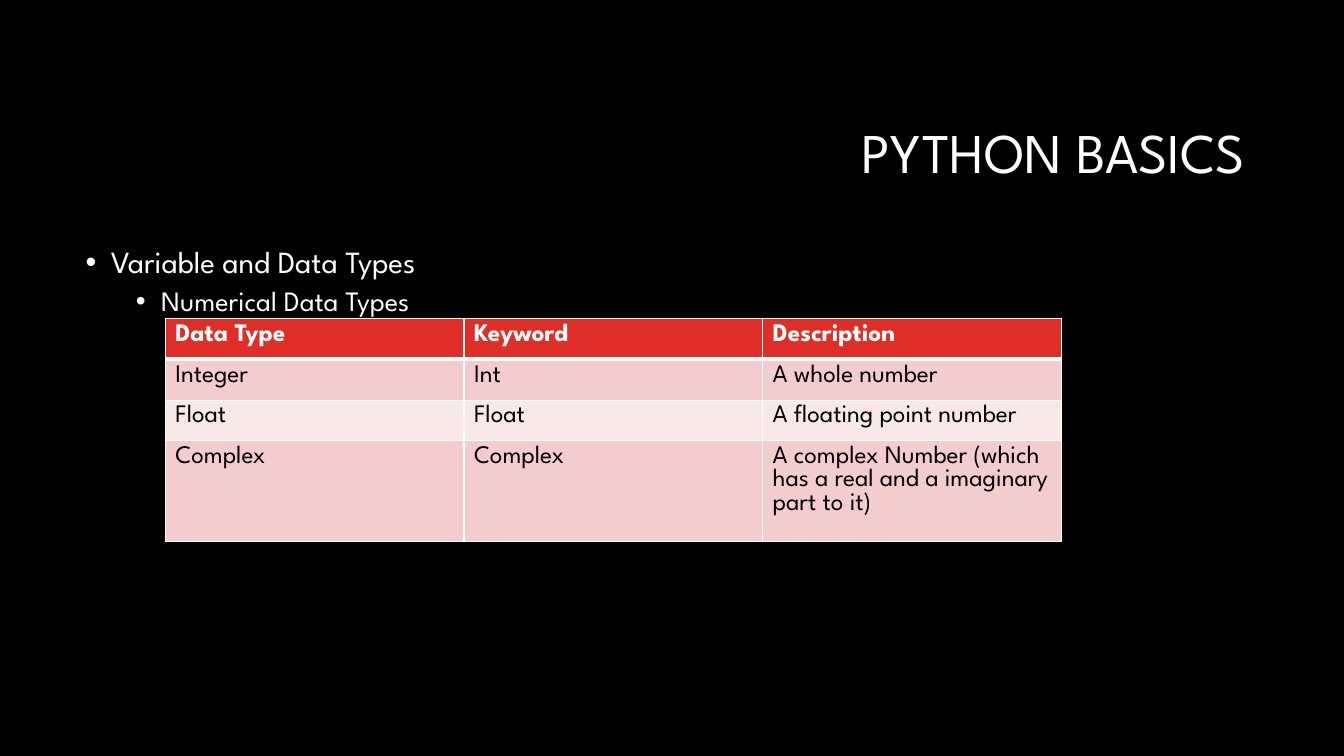
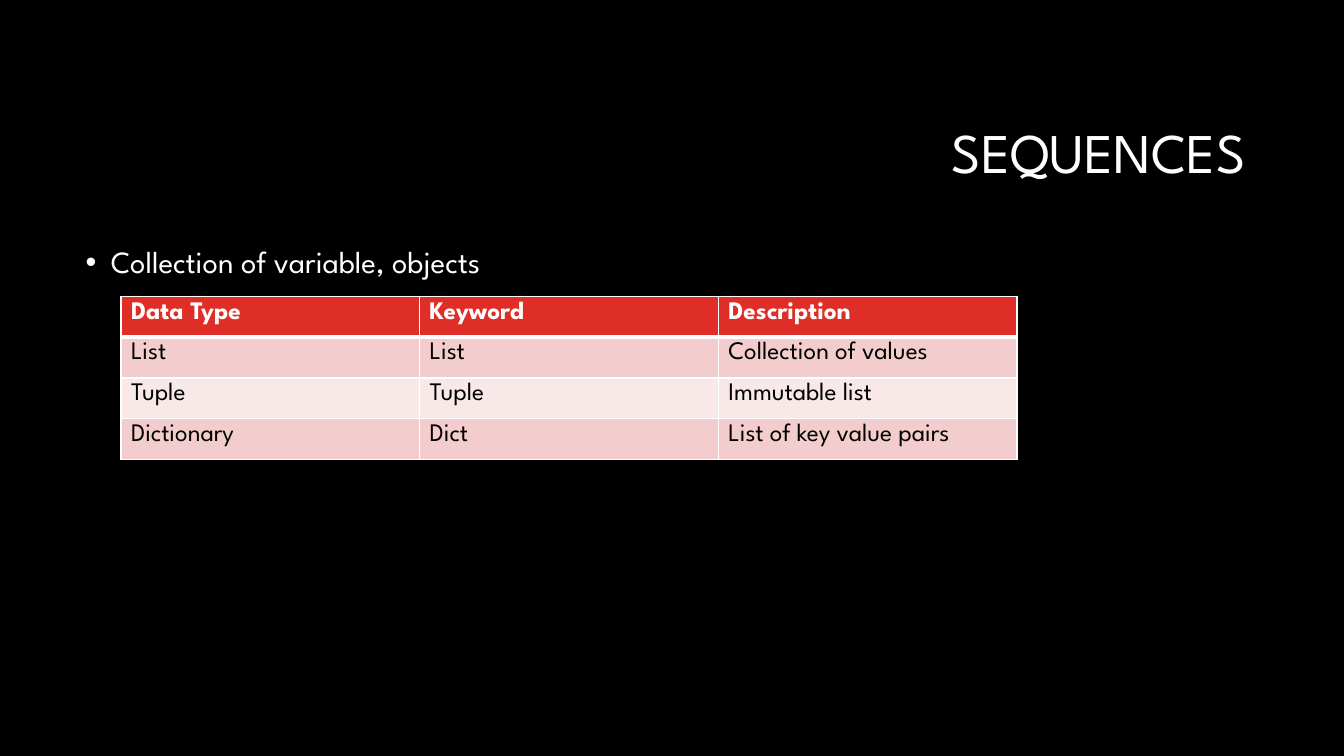
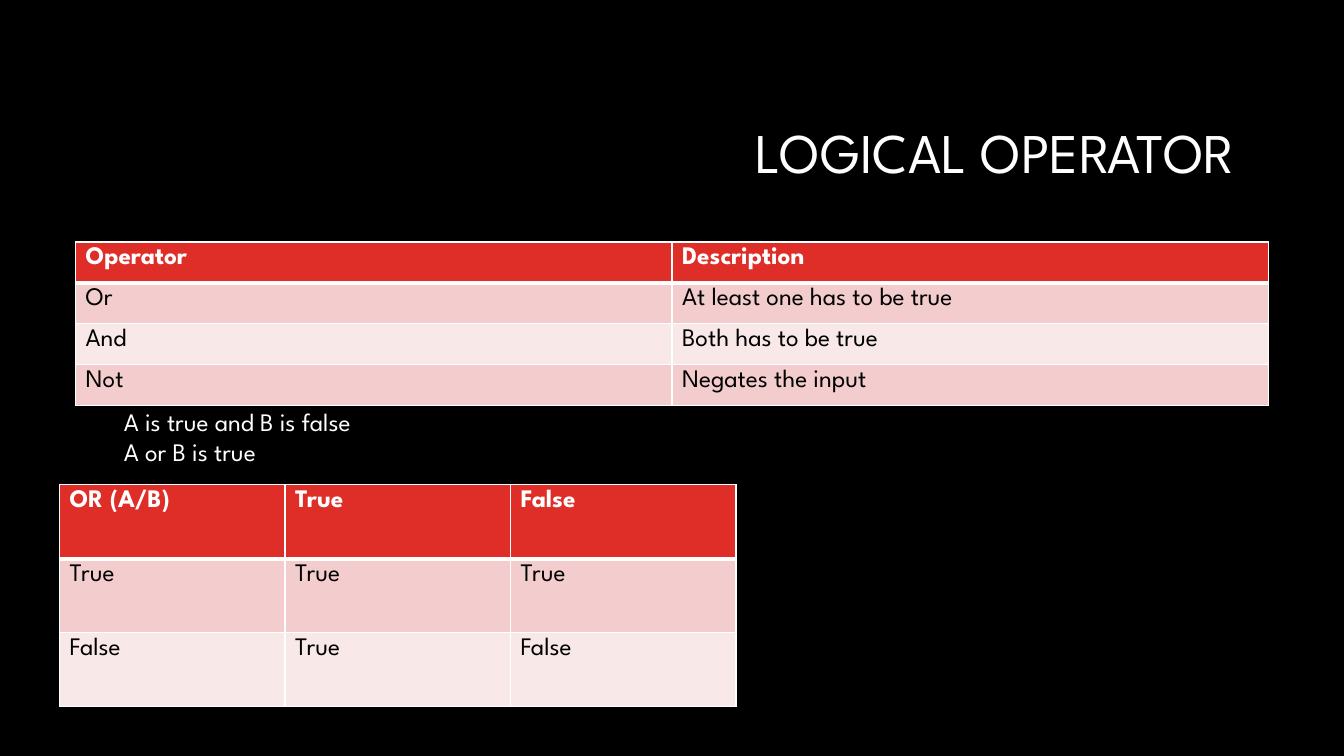
from lxml import etree
from pptx import Presentation
from pptx import util as u
from pptx.dml.color import RGBColor
from pptx.enum import text
from pptx.oxml import ns

FONT = "League Spartan"
BLACK, WHITE = "000000", "FFFFFF"
RED, ROSE, PALE_ROSE = "DF2E28", "F3CDCD", "F9E8E8"
WIDTH, HEIGHT = u.Inches(13.33), u.Inches(7.5)
MARGIN, CONTENT_WIDTH, CONTENT_TOP = 5.63, 88.75, 32
ROW_HEIGHT = 5.4
LEVELS = [(22, 0.25, 10), (20, 0.75, 5)]


def color(value):
    return RGBColor.from_string(value)


def area(left, top, width, height):
    return [round(share * side / 100) for share, side in
            ((left, WIDTH), (top, HEIGHT), (width, WIDTH), (height, HEIGHT))]


def style(paragraph, size, value=WHITE, bold=False):
    for run in paragraph.runs:
        run.font.name = FONT
        run.font.size = u.Pt(size)
        run.font.bold = bold
        run.font.color.rgb = color(value)


def add_titled_slide(presentation, title):
    slide = presentation.slides.add_slide(presentation.slide_layouts[5])
    shape = slide.shapes.title
    shape.left, shape.top, shape.width, shape.height = area(23.78, 11.2, 70.67, 18.8)
    frame = shape.text_frame
    frame.text = title
    frame.word_wrap = True
    frame.auto_size = text.MSO_AUTO_SIZE.NONE
    frame.vertical_anchor = text.MSO_ANCHOR.MIDDLE
    paragraph = frame.paragraphs[0]
    paragraph.alignment = text.PP_ALIGN.RIGHT
    paragraph.line_spacing = 0.9
    style(paragraph, 40)
    return slide


def add_text(slide, lines, box):
    frame = slide.shapes.add_textbox(*area(*box)).text_frame
    frame.word_wrap = True
    frame.text = "\n".join(lines)
    for paragraph in frame.paragraphs:
        style(paragraph, 18)
    return frame


def add_bullets(slide, lines):
    frame = add_text(slide, lines, (MARGIN, CONTENT_TOP, CONTENT_WIDTH, 58.67))
    for level, paragraph in enumerate(frame.paragraphs):
        size, indent, space = LEVELS[level]
        style(paragraph, size)
        paragraph.level = level
        paragraph.line_spacing = 0.9
        paragraph.space_before = u.Pt(space)
        properties = paragraph._p.get_or_add_pPr()
        properties.set("marL", str(u.Inches(indent)))
        properties.set("indent", str(u.Inches(-0.25)))
        etree.SubElement(properties, ns.qn("a:buFont"), typeface="Arial")
        etree.SubElement(properties, ns.qn("a:buChar"), char="•")


def set_borders(cell, top, bottom):
    properties = cell._tc.get_or_add_tcPr()
    for index, (side, points) in enumerate(zip("LRTB", (1, 1, top, bottom))):
        line = etree.Element(ns.qn(f"a:ln{side}"), w=str(u.Pt(points)))
        fill = etree.SubElement(line, ns.qn("a:solidFill"))
        etree.SubElement(fill, ns.qn("a:srgbClr"), val=WHITE)
        properties.insert(index, line)


def add_data_table(slide, rows, left, top, width, row_height=ROW_HEIGHT):
    box = area(left, top, width, row_height * len(rows))
    table = slide.shapes.add_table(len(rows), len(rows[0]), *box).table
    table.horz_banding = False
    for row, values in enumerate(rows):
        header = row == 0
        fill = RED if header else (PALE_ROSE, ROSE)[row % 2]
        for column, value in enumerate(values):
            cell = table.cell(row, column)
            cell.text_frame.text = value
            style(cell.text_frame.paragraphs[0], 18, WHITE if header else BLACK, header)
            cell.fill.solid()
            cell.fill.fore_color.rgb = color(fill)
            set_borders(cell, 3 if row == 1 else 1, 3 if header else 1)


def main():
    presentation = Presentation()
    presentation.slide_width, presentation.slide_height = WIDTH, HEIGHT
    background = presentation.slide_master.background.fill
    background.solid()
    background.fore_color.rgb = color(BLACK)
    type_header = ["Data Type", "Keyword", "Description"]

    slide = add_titled_slide(presentation, "PYTHON BASICS ")
    add_bullets(slide, ["Variable and Data Types", "Numerical Data Types"])
    add_data_table(slide, [
        type_header,
        ["Integer", "Int", "A whole number"],
        ["Float", "Float", "A floating point number"],
        ["Complex", "Complex",
         "A complex Number (which has a real and a imaginary part to it)"],
    ], 12.3, 42.13, 66.67)

    slide = add_titled_slide(presentation, "SEQUENCES ")
    add_bullets(slide, ["Collection of variable, objects"])
    add_data_table(slide, [
        type_header,
        ["List", "List", "Collection of values"],
        ["Tuple", "Tuple", "Immutable list"],
        ["Dictionary", "Dict", "List of key value pairs"],
    ], 9, 39.2, 66.67)

    slide = add_titled_slide(presentation, "LOGICAL OPERATOR\t")
    add_data_table(slide, [
        ["Operator", "Description"],
        ["Or", "At least one has to be true"],
        ["And", "Both has to be true"],
        ["Not", "Negates the input"],
    ], MARGIN, CONTENT_TOP, CONTENT_WIDTH)
    add_text(slide, ["A is true and B is false", "A or B is true"],
             (8.48, 53.07, 83.56, 17.47))
    add_data_table(slide, [
        ["OR (A/B)", "True", "False"],
        ["True", "True", "True"],
        ["False", "True", "False"],
    ], 4.43, 64.13, 50.33, 9.78)

    presentation.save("out.pptx")


if __name__ == "__main__":
    main()
